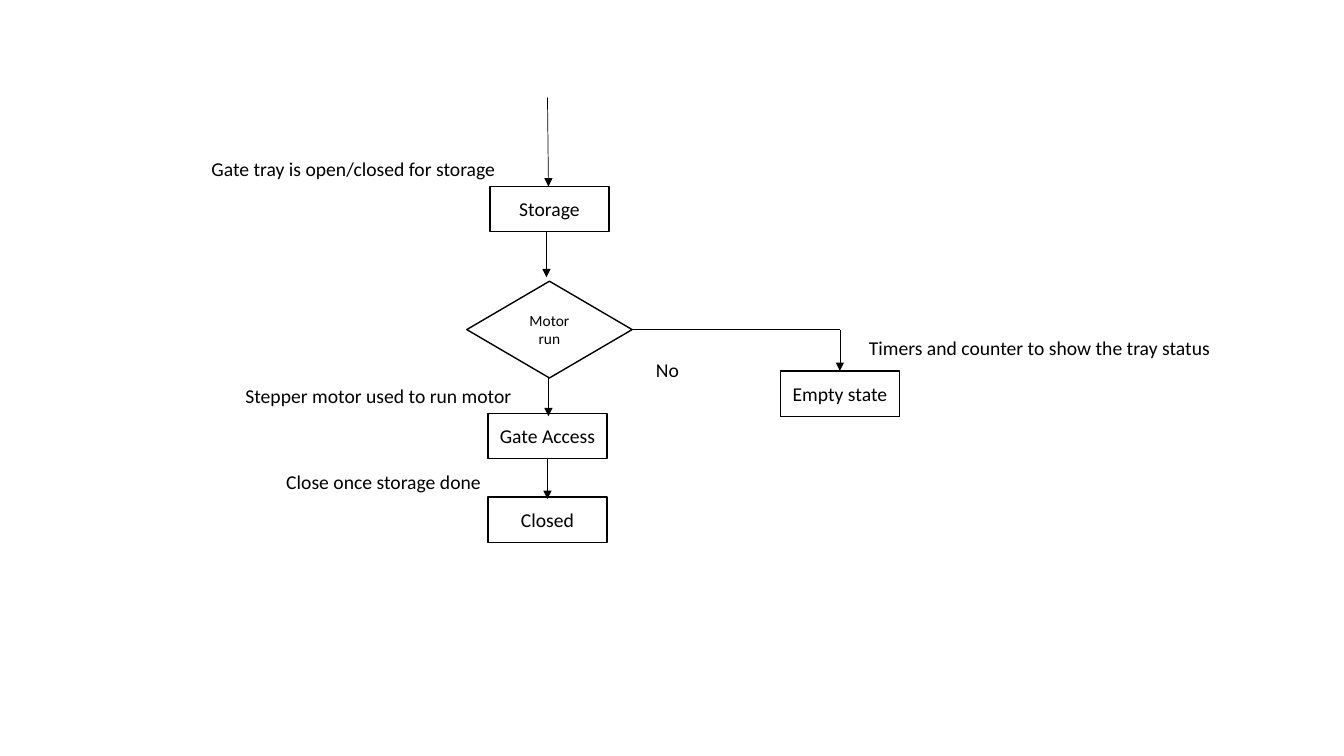
from dataclasses import dataclass

from lxml import etree
from pptx import Presentation
from pptx.dml.color import RGBColor
from pptx.enum.shapes import MSO_CONNECTOR, MSO_SHAPE
from pptx.enum.text import MSO_ANCHOR, MSO_AUTO_SIZE, PP_ALIGN
from pptx.oxml.ns import qn
from pptx.util import Inches, Pt

RECT = MSO_SHAPE.RECTANGLE
CHOICE = MSO_SHAPE.FLOWCHART_DECISION
LINE = MSO_CONNECTOR.STRAIGHT
MIDDLE = MSO_ANCHOR.MIDDLE
GROW = MSO_AUTO_SIZE.SHAPE_TO_FIT_TEXT
CENTER = PP_ALIGN.CENTER


@dataclass(frozen=True)
class Theme:
    """Colours, font and sizes of the slide."""
    ink: RGBColor = RGBColor(0, 0, 0)
    paper: RGBColor = RGBColor(255, 255, 255)
    font: str = "Calibri"
    text: Pt = Pt(14)
    small: Pt = Pt(11)
    edge: Pt = Pt(1)
    flow: Pt = Pt(0.5)


THEME = Theme()
BOX_W, BOX_H = 1.18, 0.45
LABEL_H = 0.34

# text, left, top
STEPS = [
    ("Storage", 4.86, 1.85),
    ("Gate Access", 4.84, 4.1),
    ("Closed", 4.84, 4.93),
    ("Empty state", 7.74, 3.68),
]
# text, left, top, width
LABELS = [
    ("Gate tray is open/closed for storage", 1.22, 1.51, 4.57),
    ("Stepper motor used to run motor", 1.47, 3.76, 4.57),
    ("Close once storage done", 1.52, 4.61, 4.57),
    ("No", 3.96, 3.5, 5.32),
    ("Timers and counter to show the tray status", 7.65, 3.28, 5.32),
]
# start x, start y, end x, end y
ARROWS = [
    (5.43, 0.97, 5.44, 1.85),
    (5.42, 2.3, 5.42, 2.75),
    (5.44, 3.75, 5.44, 4.13),
    (5.43, 4.55, 5.43, 4.95),
    (8.33, 3.27, 8.33, 3.68),
]
BRANCH = (6.26, 3.27, 8.33, 3.27)


def apply(item, values):
    """Set each attribute named in values on the item."""
    for name, value in values.items():
        setattr(item, name, value)


def write(shape, text, size, frame):
    """Put centred text in a shape, with the given frame settings."""
    apply(shape.text_frame, {"word_wrap": True, **frame})
    para = shape.text_frame.paragraphs[0]
    para.alignment = CENTER
    run = para.add_run()
    run.text = text
    apply(run.font, {"name": THEME.font, "size": size})
    run.font.color.rgb = THEME.ink


def add_label(slide, text, left, top, width):
    """Add a free caption."""
    area = map(Inches, (left, top, width, LABEL_H))
    write(slide.shapes.add_textbox(*area), text, THEME.text,
          {"auto_size": GROW})


def add_step(slide, text, left, top, width=BOX_W, height=BOX_H,
             kind=RECT, size=THEME.text):
    """Add one outlined node of the flow."""
    area = map(Inches, (left, top, width, height))
    node = slide.shapes.add_shape(kind, *area)
    node.shadow.inherit = False
    node.fill.solid()
    node.fill.fore_color.rgb = THEME.paper
    node.line.color.rgb = THEME.ink
    node.line.width = THEME.edge
    write(node, text, size, {"vertical_anchor": MIDDLE})


def add_flow(slide, ends, arrow=True):
    """Join two points by a thin line, with or without an arrowhead."""
    link = slide.shapes.add_connector(LINE, *map(Inches, ends))
    link.line.color.rgb = THEME.ink
    link.line.width = THEME.flow
    props = link.line._get_or_add_ln()
    if arrow:
        etree.SubElement(props, qn("a:tailEnd"), type="triangle")
    etree.SubElement(props.getparent(), qn("a:effectLst"))


def main():
    """Build the storage flow chart and save it."""
    deck = Presentation()
    apply(deck, {"slide_width": Inches(13.33), "slide_height": Inches(7.5)})
    slide = deck.slides.add_slide(deck.slide_layouts.get_by_name("Blank"))
    for step in STEPS:
        add_step(slide, *step)
    add_step(slide, "Motor run", 4.63, 2.79, 1.64, 0.96, CHOICE, THEME.small)
    for label in LABELS:
        add_label(slide, *label)
    for ends in ARROWS:
        add_flow(slide, ends)
    add_flow(slide, BRANCH, arrow=False)
    deck.save("out.pptx")


main()
